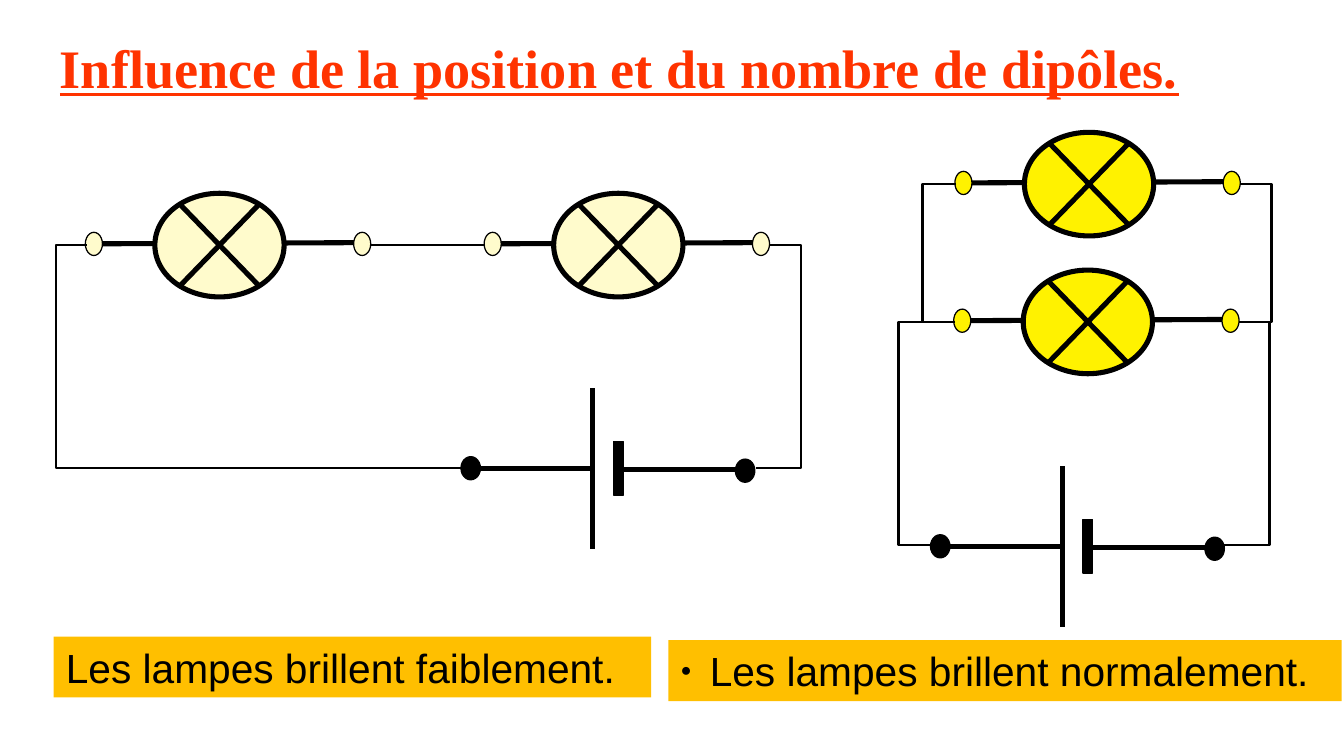
from lxml import etree
from pptx import Presentation
from pptx.dml.color import RGBColor
from pptx.enum.shapes import MSO_CONNECTOR, MSO_SHAPE
from pptx.enum.text import MSO_ANCHOR, MSO_AUTO_SIZE, PP_ALIGN
from pptx.oxml.ns import qn
from pptx.util import Inches, Pt

BLACK, AMBER, RED = "000000", "FFBF00", "FF3300"
DIM, BRIGHT = "FFFBCC", "FFF200"
THIN, WIRE, THICK = 0.75, 1.5, 3

prs = Presentation()
prs.slide_width, prs.slide_height = Inches(11.02), Inches(6.2)
s = prs.slides.add_slide(prs.slide_layouts[3])


def add_part(kind, cx, cy, w, h, fill, line=THIN):
    """Draw a filled shape centred on (cx, cy)."""
    sp = s.shapes.add_shape(kind, Inches(cx - w / 2), Inches(cy - h / 2), Inches(w), Inches(h))
    sp.shadow.inherit = False
    sp.fill.solid()
    sp.fill.fore_color.rgb = RGBColor.from_string(fill)
    sp.line.color.rgb = RGBColor.from_string(BLACK)
    sp.line.width = Pt(line)


def add_wire(x1, y1, x2, y2, width=THICK, via=None):
    """Join two points, straight or with a detour through the column x = via."""
    kind = MSO_CONNECTOR.STRAIGHT if via is None else MSO_CONNECTOR.ELBOW
    c = s.shapes.add_connector(kind, Inches(x1), Inches(y1), Inches(x2), Inches(y2))
    c.line.color.rgb = RGBColor.from_string(BLACK)
    c.line.width = Pt(width)
    spPr = c._element.spPr
    etree.SubElement(spPr, qn("a:effectLst"))
    if via is not None:
        geom = spPr.find(qn("a:prstGeom"))
        guides = geom.find(qn("a:avLst"))
        if guides is None:
            guides = etree.SubElement(geom, qn("a:avLst"))
        bend = round((via - x1) / (x2 - x1) * 100000)
        etree.SubElement(guides, qn("a:gd"), name="adj1", fmla=f"val {bend}")


# Lamps: centre and colour
for x, y, glow in [(8.92, 2.64, BRIGHT), (8.93, 1.51, BRIGHT), (5.07, 2.01, DIM), (1.8, 2.01, DIM)]:
    add_wire(x - 1.02, y - 0.01, x + 1.17, y - 0.02)
    add_part(MSO_SHAPE.OVAL, x, y, 1.06, 0.85, glow, THICK)
    for slope in (-1, 1):
        add_wire(x - 0.32, y - 0.33 * slope, x + 0.32, y + 0.33 * slope)
    for dx in (-1.03, 1.17):
        add_part(MSO_SHAPE.OVAL, x + dx, y - 0.01, 0.14, 0.19, glow)

# Batteries: foot of the long plate
for x, y in [(8.71, 4.48), (4.86, 3.84)]:
    add_wire(x, y + 0.66, x, y - 0.66)
    add_wire(x - 1, y, x, y)
    add_wire(x + 0.25, y + 0.01, x + 1.25, y + 0.01)
    add_part(MSO_SHAPE.RECTANGLE, x + 0.21, y, 0.08, 0.44, BLACK)
    for dx, dy in [(-1, 0), (1.25, 0.02)]:
        add_part(MSO_SHAPE.OVAL, x + dx, y + dy, 0.16, 0.19, BLACK)

# Wires of the series circuit, then of the parallel one
for x1, y1, x2, y2, via in [
    (3.98, 2.01, 3.04, 2.01, None),
    (0.71, 2.01, 3.78, 3.84, 0.46),
    (6.31, 2.01, 6.2, 3.84, 6.57),
    (10.16, 2.64, 10.04, 4.47, 10.41),
    (7.83, 2.64, 7.63, 4.47, 7.37),
    (10.17, 1.51, 10.16, 2.64, 10.43),
    (7.84, 1.51, 7.83, 2.64, 7.56),
]:
    add_wire(x1, y1, x2, y2, WIRE, via)

# Title and the two conclusions
title, left, right = list(s.placeholders)[:3]
for sp, text, box, size, font, color in [
    (title, "Influence de la position et du nombre de dipôles.", (0.39, 0.23, 10.49, 0.64), 32, "Times New Roman", RED),
    (left, "Les lampes brillent faiblement.", (0.44, 5.22, 4.9, 0.5), 24, "Arial", BLACK),
    (right, "Les lampes brillent normalement.", (5.48, 5.25, 5.52, 0.5), 24, "Arial", BLACK),
]:
    sp.left, sp.top, sp.width, sp.height = [Inches(v) for v in box]
    tf = sp.text_frame
    tf.text = text
    tf.word_wrap = True
    tf.auto_size = MSO_AUTO_SIZE.NONE
    tf.vertical_anchor = MSO_ANCHOR.MIDDLE if sp is title else MSO_ANCHOR.TOP
    p = tf.paragraphs[0]
    p.alignment = PP_ALIGN.LEFT
    p.space_before = Pt(0)
    r = p.runs[0]
    r.font.size, r.font.name = Pt(size), font
    r.font.color.rgb = RGBColor.from_string(color)
    if sp is title:
        r.font.bold = r.font.underline = True
        continue
    sp.fill.solid()
    sp.fill.fore_color.rgb = RGBColor.from_string(AMBER)
    pPr = p._p.get_or_add_pPr()
    indent = Inches(0.24) if sp is right else 0
    pPr.set("marL", str(indent))
    pPr.set("indent", str(-indent))
    if sp is right:
        bullet_color = etree.SubElement(pPr, qn("a:buClr"))
        etree.SubElement(bullet_color, qn("a:srgbClr"), val=BLACK)
        etree.SubElement(pPr, qn("a:buSzPct"), val="45000")
        etree.SubElement(pPr, qn("a:buChar"), char="●")
    else:
        etree.SubElement(pPr, qn("a:buNone"))

prs.save("out.pptx")
